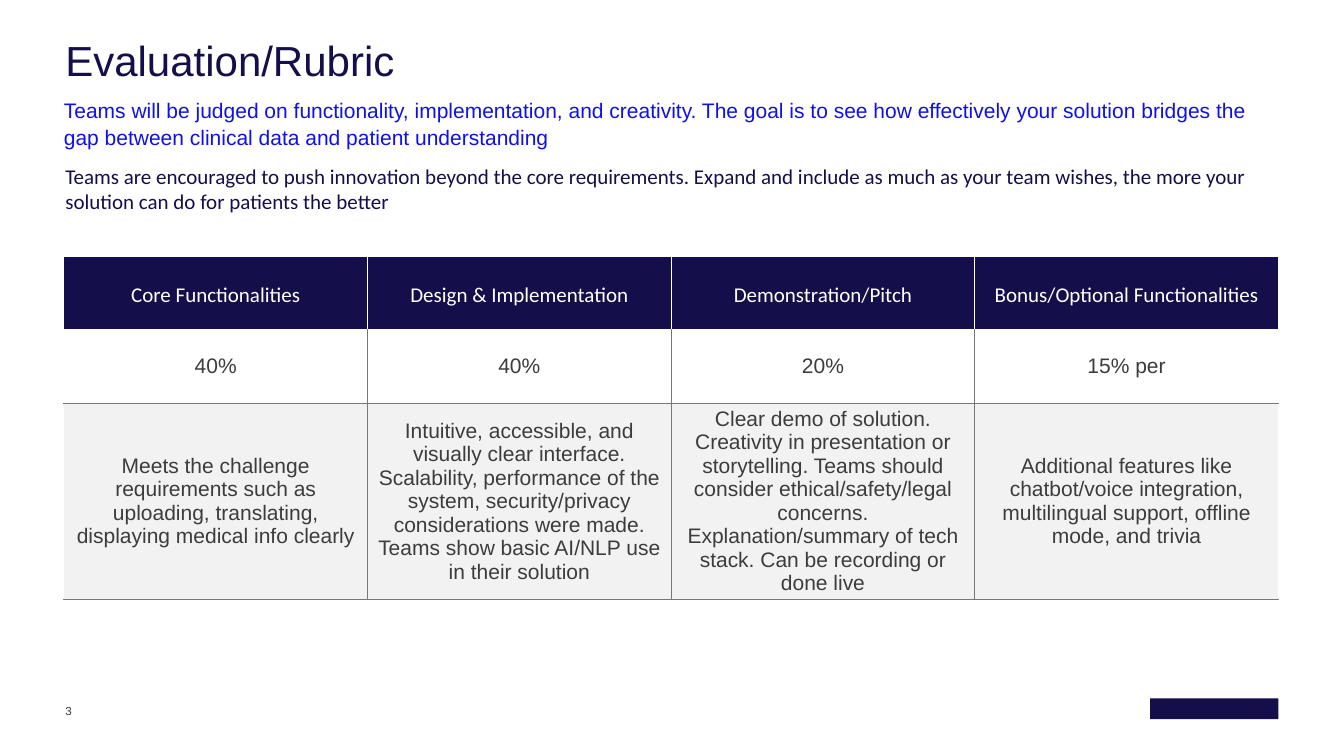
from lxml.etree import SubElement
from pptx import Presentation
from pptx.dml.color import RGBColor
from pptx.enum.shapes import MSO_SHAPE
from pptx.enum.text import MSO_ANCHOR, MSO_AUTO_SIZE, PP_ALIGN
from pptx.oxml import parse_xml
from pptx.oxml.ns import nsdecls, qn
from pptx.util import Pt

# Content
TITLE = "Evaluation/Rubric"
GOAL = ("Teams will be judged on functionality, implementation, and creativity. "
        "The goal is to see how effectively your solution bridges the gap between "
        "clinical data and patient understanding")
ENCOURAGEMENT = ("Teams are encouraged to push innovation beyond the core requirements. "
                 "Expand and include as much as your team wishes, the more your solution "
                 "can do for patients the better")
PAGE_NUMBER = "3"
RUBRIC = [
    ("Core Functionalities", "Design & Implementation", "Demonstration/Pitch",
     "Bonus/Optional Functionalities"),
    ("40%", "40%", "20%", "15% per"),
    ("Meets the challenge requirements such as uploading, translating, "
     "displaying medical info clearly",
     "Intuitive, accessible, and visually clear interface. Scalability, performance "
     "of the system, security/privacy considerations were made. Teams show basic "
     "AI/NLP use in their solution",
     "Clear demo of solution. Creativity in presentation or storytelling. Teams should "
     "consider ethical/safety/legal concerns. Explanation/summary of tech stack. "
     "Can be recording or done live",
     "Additional features like chatbot/voice integration, multilingual support, "
     "offline mode, and trivia"),
]

# Style and layout, in points
NAVY = RGBColor(0x14, 0x0F, 0x4B)
BLUE = RGBColor(0x10, 0x10, 0xEB)
DARK_GREY = RGBColor(0x3C, 0x3C, 0x3C)
LINE_GREY = RGBColor(0x77, 0x77, 0x77)
PALE_GREY = RGBColor(0xF2, 0xF2, 0xF2)
WHITE = RGBColor(0xFF, 0xFF, 0xFF)
TEXT_LEFT, TABLE_LEFT, TEXT_WIDTH = 56, 54.75, 1040
TABLE_TOP, COLUMN_WIDTH = 219.5, 260.25
ROW_HEIGHTS = [63, 63, 168]
ROW_FILLS = [NAVY, None, PALE_GREY]


def place(shape, left, top, width, height):
    shape.left, shape.top = Pt(left), Pt(top)
    shape.width, shape.height = Pt(width), Pt(height)


def write(frame, text, size, font, color, align=PP_ALIGN.LEFT, spacing=1.0):
    paragraph = frame.paragraphs[0]
    paragraph.alignment = align
    paragraph.line_spacing = spacing
    run = paragraph.add_run()
    run.text = text
    run.font.size, run.font.name = Pt(size), font
    run.font.color.rgb = color
    return paragraph


def set_up_frame(shape, anchor=MSO_ANCHOR.TOP, inset=0):
    frame = shape.text_frame
    frame.word_wrap, frame.auto_size = True, MSO_AUTO_SIZE.NONE
    frame.vertical_anchor = anchor
    frame.margin_left = frame.margin_right = 0
    frame.margin_top = frame.margin_bottom = Pt(inset)
    return frame


def set_borders(cell, borders):
    """Borders are (side, color) pairs in the order L, R, T, B."""
    properties = cell._tc.get_or_add_tcPr()
    for position, (side, color) in enumerate(borders):
        properties.insert(position, parse_xml(
            f'<a:ln{side} {nsdecls("a")} w="{Pt(0.75)}"><a:solidFill>'
            f'<a:srgbClr val="{color}"/></a:solidFill></a:ln{side}>'))


presentation = Presentation()
presentation.slide_width, presentation.slide_height = Pt(1152), Pt(648)
slide = presentation.slides.add_slide(presentation.slide_layouts[1])

# Title and goal
title, body = slide.shapes.title, slide.placeholders[1]
place(title, TEXT_LEFT, 34.5, TEXT_WIDTH, 32)
write(set_up_frame(title), TITLE, 36, "Arial", NAVY, spacing=0.9)
place(body, TABLE_LEFT, 78, TEXT_WIDTH, 44)
goal = write(set_up_frame(body, inset=3.6), GOAL, 18, "Arial", BLUE, spacing=1.08)
goal_properties = goal._p.get_or_add_pPr()
goal_properties.set("marL", "0")
goal_properties.set("indent", "0")
goal.space_before = Pt(0)
SubElement(goal_properties, qn("a:buNone"))

# Encouragement and page number
for text, size, font, color, anchor, box in [
    (ENCOURAGEMENT, 18, "Calibri", NAVY, MSO_ANCHOR.TOP, (TEXT_LEFT, 139.75, TEXT_WIDTH, 44)),
    (PAGE_NUMBER, 10, "Arial", DARK_GREY, MSO_ANCHOR.BOTTOM, (TEXT_LEFT, 603.5, 24, 12)),
]:
    text_box = slide.shapes.add_textbox(*map(Pt, box))
    write(set_up_frame(text_box, anchor), text, size, font, color)

# Rubric table
column_count = len(RUBRIC[0])
table = slide.shapes.add_table(
    len(RUBRIC), column_count, Pt(TABLE_LEFT), Pt(TABLE_TOP),
    Pt(COLUMN_WIDTH * column_count), Pt(sum(ROW_HEIGHTS))).table
table.horz_banding = False
table.first_row = False
for column in table.columns:
    column.width = Pt(COLUMN_WIDTH)
for row_index, texts in enumerate(RUBRIC):
    is_header = row_index == 0
    table.rows[row_index].height = Pt(ROW_HEIGHTS[row_index])
    line_color = WHITE if is_header else LINE_GREY
    for column_index, text in enumerate(texts):
        cell = table.cell(row_index, column_index)
        write(cell.text_frame, text, 18, "Calibri" if is_header else "Arial",
              WHITE if is_header else DARK_GREY, PP_ALIGN.CENTER)
        cell.vertical_anchor = MSO_ANCHOR.BOTTOM if is_header else MSO_ANCHOR.MIDDLE
        if is_header:
            cell.margin_bottom = Pt(18)
        if ROW_FILLS[row_index] is None:
            cell.fill.background()
        else:
            cell.fill.solid()
            cell.fill.fore_color.rgb = ROW_FILLS[row_index]
        borders = []
        if column_index > 0:
            borders.append(("L", line_color))
        if column_index < column_count - 1:
            borders.append(("R", line_color))
        if row_index > 1:
            borders.append(("T", LINE_GREY))
        if not is_header:
            borders.append(("B", LINE_GREY))
        set_borders(cell, borders)

# Plain brand block
brand_block = slide.shapes.add_shape(
    MSO_SHAPE.RECTANGLE, Pt(985.75), Pt(598.5), Pt(110), Pt(18))
brand_block.shadow.inherit = False
brand_block.fill.solid()
brand_block.fill.fore_color.rgb = NAVY
brand_block.line.fill.background()

presentation.save("out.pptx")
